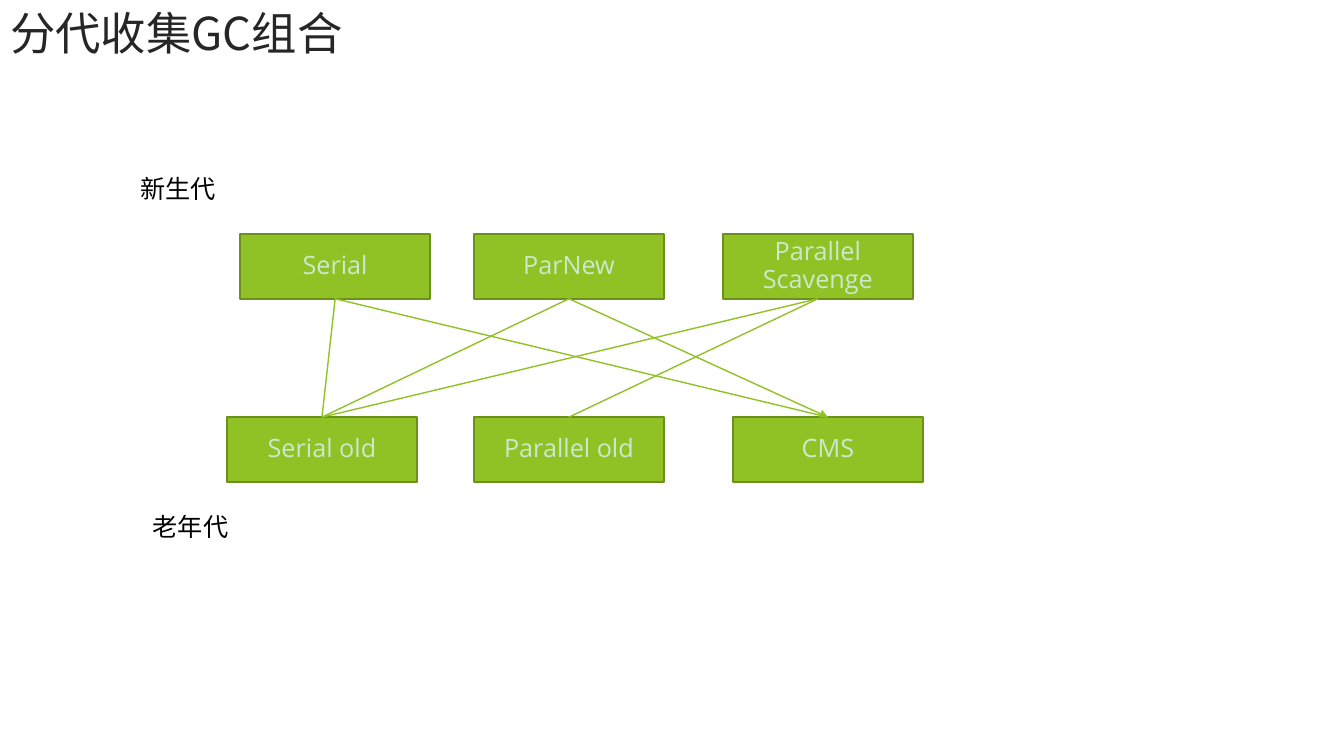
import pptx
import pptx.util
import pptx.dml.color
import pptx.enum.shapes
import pptx.enum.text
import pptx.oxml
import pptx.oxml.ns

Pt = pptx.util.Pt
qn = pptx.oxml.ns.qn
text_enum = pptx.enum.text

TITLE = "分代收集GC组合"
LABELS = [("新生代", 93, 120.5), ("老年代", 102, 362)]
ROWS = [
    (167, [("Serial", 171.4), ("ParNew", 338.4), ("Parallel Scavenge", 516.2)]),
    (298, [("Serial old", 162), ("Parallel old", 338.4), ("CMS", 523.4)]),
]
LINKS = [
    ("Serial", "CMS", False),
    ("Serial", "Serial old", False),
    ("ParNew", "CMS", True),
    ("ParNew", "Serial old", False),
    ("Parallel Scavenge", "Parallel old", False),
    ("Parallel Scavenge", "Serial old", False),
]
COLORS = {"back": "FFFFFF", "title": "262626", "label": "000000",
          "fill": "90C226", "edge": "6B901C", "text": "CAEACE"}
BOX_W, BOX_H = 136, 46.4
CJK = "Noto Sans CJK JP"
LATIN = "Open Sans"


def color(name):
    return pptx.dml.color.RGBColor.from_string(COLORS[name])


def write(shape, text, size, face, tone, align, anchor, wrap=True):
    frame = shape.text_frame
    frame.text = text
    frame.word_wrap = wrap
    frame.vertical_anchor = anchor
    para = frame.paragraphs[0]
    para.alignment = align
    font = para.runs[0].font
    font.size = Pt(size)
    font.name = face
    font.color.rgb = color(tone)
    return para


def add_label(text, left, top):
    label = slide.shapes.add_textbox(Pt(left), Pt(top), Pt(69), Pt(29))
    write(label, text, 18, LATIN, "label", text_enum.PP_ALIGN.LEFT,
          text_enum.MSO_ANCHOR.TOP, False)
    label.text_frame.auto_size = text_enum.MSO_AUTO_SIZE.SHAPE_TO_FIT_TEXT


def add_box(text, left, top):
    box = slide.shapes.add_shape(pptx.enum.shapes.MSO_SHAPE.RECTANGLE,
                                 Pt(left), Pt(top), Pt(BOX_W), Pt(BOX_H))
    box.shadow.inherit = False
    box.fill.solid()
    box.fill.fore_color.rgb = color("fill")
    box.line.color.rgb = color("edge")
    box.line.width = Pt(1.5)
    para = write(box, text, 18, LATIN, "text", text_enum.PP_ALIGN.CENTER,
                 text_enum.MSO_ANCHOR.MIDDLE)
    para.line_spacing = 0.9
    return box


def add_link(start, end, arrow):
    link = slide.shapes.add_connector(
        pptx.enum.shapes.MSO_CONNECTOR.STRAIGHT, 0, 0, 0, 0)
    link.begin_connect(start, 2)
    link.end_connect(end, 0)
    link.line.color.rgb = color("fill")
    link.line.width = Pt(1)
    if arrow:
        tail = pptx.oxml.parse_xml(
            f'<a:tailEnd {pptx.oxml.ns.nsdecls("a")} type="triangle"/>')
        link.line._get_or_add_ln().append(tail)
    props = link._element.spPr
    props.append(props.makeelement(qn("a:effectLst"), {}))


deck = pptx.Presentation()
deck.slide_width, deck.slide_height = Pt(960), Pt(540)
slide = deck.slides.add_slide(deck.slide_layouts[5])
slide.background.fill.solid()
slide.background.fill.fore_color.rgb = color("back")

title = slide.shapes.title
title.left, title.top, title.width, title.height = Pt(0), Pt(0), Pt(677), Pt(46)
para = write(title, TITLE, 32.4, CJK, "title", text_enum.PP_ALIGN.LEFT,
             text_enum.MSO_ANCHOR.MIDDLE)
props = para.runs[0].font._element
props.append(props.makeelement(qn("a:ea"), {"typeface": CJK}))

for label in LABELS:
    add_label(*label)
boxes = {name: add_box(name, left, top)
         for top, row in ROWS for name, left in row}
for start, end, arrow in LINKS:
    add_link(boxes[start], boxes[end], arrow)

deck.save("out.pptx")
